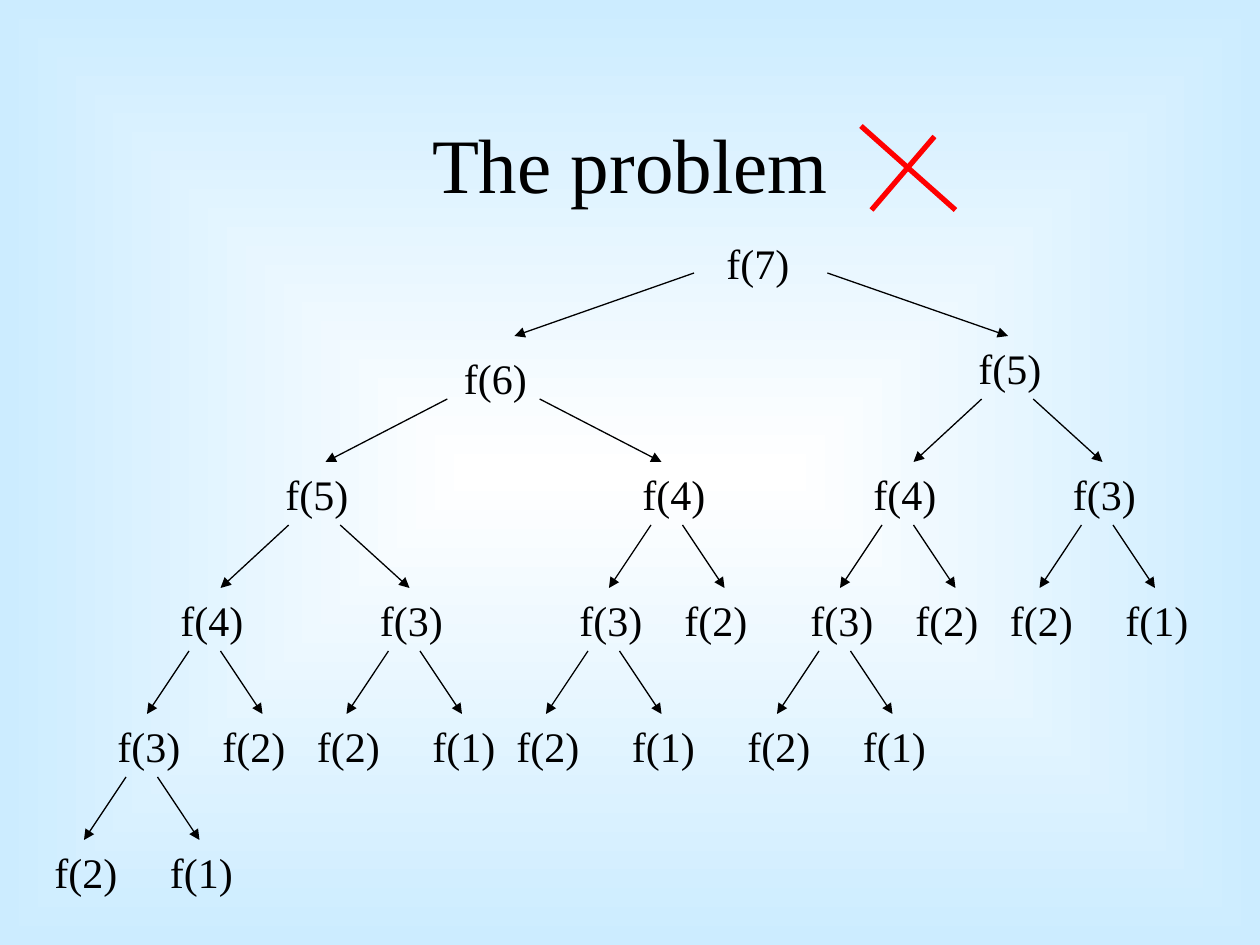
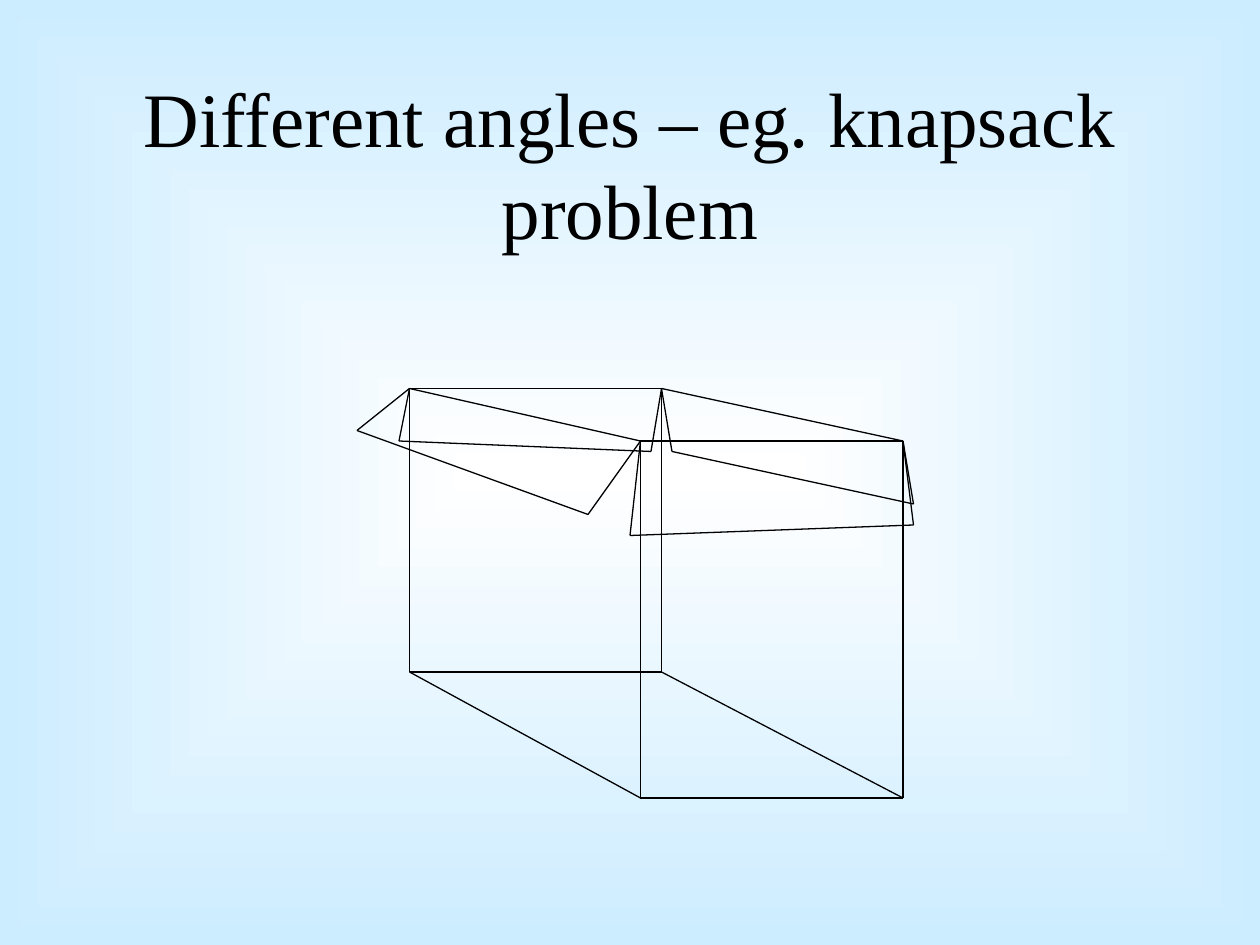
from itertools import pairwise

from lxml import etree
from pptx import Presentation
from pptx.dml.color import RGBColor
from pptx.enum.shapes import MSO_CONNECTOR
from pptx.enum.text import MSO_ANCHOR, MSO_AUTO_SIZE, PP_ALIGN
from pptx.oxml.ns import qn
from pptx.util import Cm, Pt

BLACK = RGBColor(0x00, 0x00, 0x00)
WHITE = RGBColor(0xFF, 0xFF, 0xFF)
RED = RGBColor(0xFF, 0x00, 0x00)
PALE_BLUE = RGBColor(0xCC, 0xEC, 0xFF)
FONT = "Times New Roman"
STRAIGHT = MSO_CONNECTOR.STRAIGHT
MIDDLE = MSO_ANCHOR.MIDDLE
CENTER = PP_ALIGN.CENTER
FIT_SHAPE = MSO_AUTO_SIZE.SHAPE_TO_FIT_TEXT

# Both slides are laid out on a grid of 120 by 90 units
UNIT = Cm(25.4) / 120


def add_text(page, text, left, top, width, height, size):
    box = page.shapes.add_textbox(
        *(round(value * UNIT) for value in (left, top, width, height)))
    frame = box.text_frame
    frame.text = text
    font = frame.paragraphs[0].runs[0].font
    font.name, font.size = FONT, Pt(size)
    font.color.rgb = BLACK
    return frame


def add_line(page, start, end, color=BLACK, width=0.75, arrow=False):
    line = page.shapes.add_connector(
        STRAIGHT, *(round(value * UNIT) for value in (*start, *end)))
    line.line.color.rgb = color
    line.line.width = Pt(width)
    if arrow:
        etree.SubElement(line.line._get_or_add_ln(), qn("a:tailEnd"), type="triangle")
    etree.SubElement(line._element.spPr, qn("a:effectLst"))


deck = Presentation()
deck.slide_width, deck.slide_height = Cm(25.4), Cm(19.05)

# Shared background: white centre fading to pale blue at the edges
fill = deck.slide_master.background.fill
fill.gradient()
for stop, color, position in zip(fill.gradient_stops, (WHITE, PALE_BLUE), (0, 1)):
    stop.color.rgb = color
    stop.position = position
gradient = deck.slide_master._element.find(".//" + qn("a:gradFill"))
linear = gradient.find(qn("a:lin"))
rect_path = etree.Element(qn("a:path"))
rect_path.set("path", "rect")
etree.SubElement(rect_path, qn("a:fillToRect"),
                 {side: "50000" for side in "ltrb"})
gradient.replace(linear, rect_path)

# Pages with their titles
pages = []
for title in ("The problem", "Different angles – eg. knapsack problem"):
    page = deck.slides.add_slide(deck.slide_layouts[6])
    frame = add_text(page, title, 9, 8, 102, 15, 44)
    frame.word_wrap = True
    frame.vertical_anchor = MIDDLE
    frame.paragraphs[0].alignment = CENTER
    pages.append(page)
tree_page, box_page = pages

# Call tree: f(n) calls f(n-1) on the left and f(n-2) on the right.
# Per n: (child offset, arrow start, arrow end), measured from the label's left
BRANCHES = {
    7: ((-25, -1.9, -19), (24, 10.8, 28)),
    6: ((-17, -0.4, -12), (17, 8.4, 20)),
    5: ((-10, 1.5, -5), (9, 6.4, 13)),
    4: ((-6, 2, -2), (4, 5, 9)),
    3: ((-6, 2, -2), (5, 5, 9)),
}
ROW_STEP = 12
LABEL_DROP = {7: 2, 6: 1}

calls = [(7, 68, 20)]
for n, left, top in calls:
    frame = add_text(tree_page, f"f({n})", left, top + LABEL_DROP.get(n, 0), 8.4, 6, 24)
    frame.word_wrap = False
    frame.auto_size = FIT_SHAPE
    for step, (offset, start, end) in enumerate(BRANCHES.get(n, ()), 1):
        add_line(tree_page, (left + start, top + 6), (left + end, top + ROW_STEP),
                 arrow=True)
        calls.append((n - step, left + offset, top + ROW_STEP))

# Red cross beside the title
for start, end in (((82, 12), (91, 20)), ((89, 13), (83, 20))):
    add_line(tree_page, start, end, RED, 3)

# Open box: corners of rim and floor, in order around the box
rim = [(39, 37), (63, 37), (86, 42), (61, 42)]
floor = [(39, 64), (63, 64), (86, 76), (61, 76)]
back_left, back_right, front_right, front_left = rim
outlines = [
    rim + rim[:1],
    floor + floor[:1],
    *zip(rim, floor),
    # Flaps
    (back_left, (34, 41), (56, 49), front_left),
    (front_left, (60, 51), (87, 50), front_right),
    (back_left, (38, 42), (62, 43), back_right),
    (back_right, (64, 43), (87, 48), front_right),
]
for outline in outlines:
    for start, end in pairwise(outline):
        add_line(box_page, start, end)

deck.save("out.pptx")
